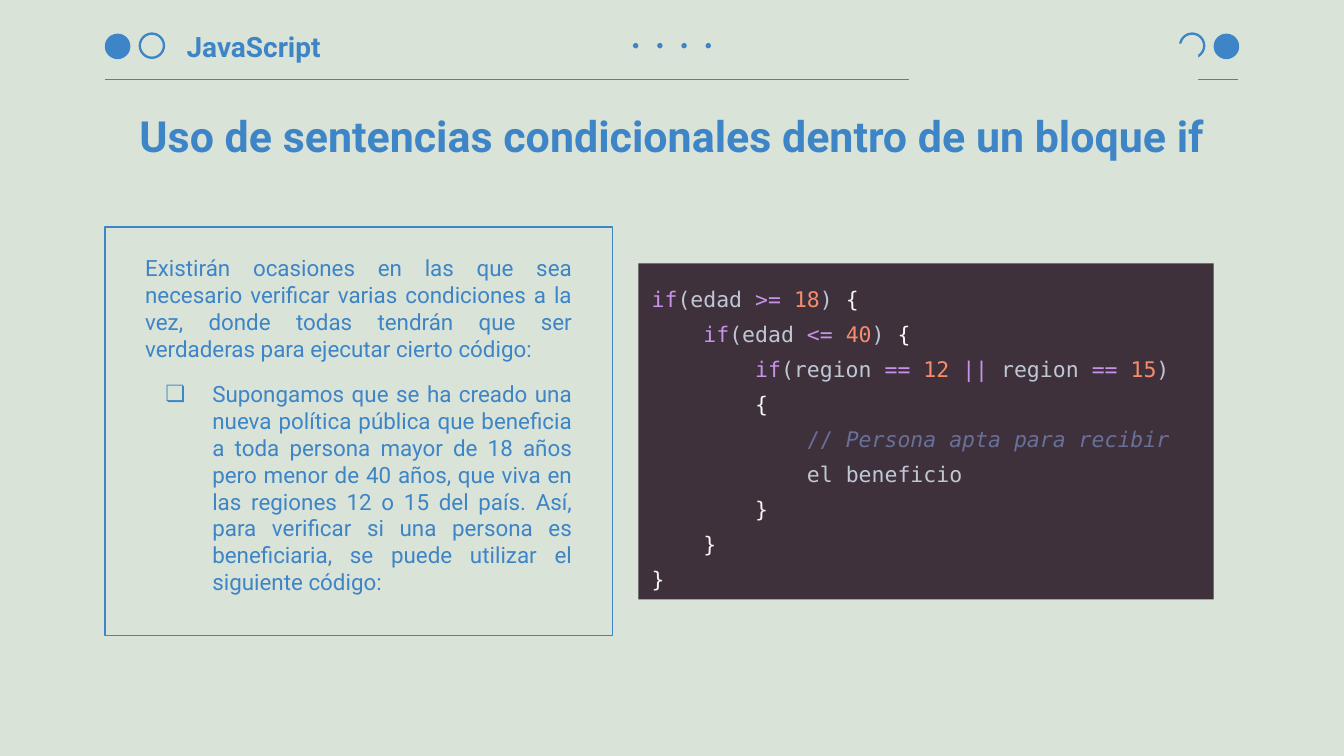
from lxml import etree
from pptx import Presentation
from pptx.dml.color import RGBColor
from pptx.enum import shapes, text
from pptx.oxml.ns import qn
from pptx.util import Inches, Pt

SAGE = RGBColor(0xDA, 0xE3, 0xD7)
BLUE = RGBColor(0x3D, 0x85, 0xC6)
PLUM = RGBColor(0x3E, 0x31, 0x3C)
KEYWORD = RGBColor(0xC7, 0x92, 0xEA)
NAME = RGBColor(0xBF, 0xC7, 0xD5)
NUMBER = RGBColor(0xF7, 0x8C, 0x6C)
BRACE = RGBColor(0xF6, 0xF6, 0xF4)
COMMENT = RGBColor(0x69, 0x70, 0x98)

HEADING = {"name": "Roboto", "bold": True}
BODY = {"name": "Roboto", "size": Pt(12)}
CODE = {"name": "DejaVu Sans Mono", "size": Pt(11.5)}

INTRO = ("Existirán ocasiones en las que sea necesario verificar varias condiciones "
         "a la vez, donde todas tendrán que ser verdaderas para ejecutar cierto código:")
EXAMPLE = ("Supongamos que se ha creado una nueva política pública que beneficia a toda "
           "persona mayor de 18 años pero menor de 40 años, que viva en las regiones 12 o 15 "
           "del país. Así, para verificar si una persona es beneficiaria, se puede utilizar "
           "el siguiente código:")

# Each line: indent level, then its coloured tokens.
CODE_LINES = [
    (0, [("if", KEYWORD), ("(edad ", NAME), (">= ", KEYWORD), ("18", NUMBER),
         (")", NAME), (" {", BRACE)]),
    (1, [("if", KEYWORD), ("(edad ", NAME), ("<= ", KEYWORD), ("40", NUMBER),
         (")", NAME), (" {", BRACE)]),
    (2, [("if", KEYWORD), ("(region ", NAME), ("== ", KEYWORD), ("12 ", NUMBER),
         ("|| ", KEYWORD), ("region ", NAME), ("== ", KEYWORD), ("15", NUMBER), (")", NAME)]),
    (2, [("{", BRACE)]),
    (3, [("//", COMMENT), (" Persona apta para recibir", COMMENT)]),
    (3, [("el beneficio", NAME)]),
    (2, [("}", BRACE)]),
    (1, [("}", BRACE)]),
    (0, [("}", BRACE)]),
]


def apply_format(target, values):
    for key, value in values.items():
        setattr(target, key, value)


def add_run(paragraph, content, color, font):
    run = paragraph.add_run()
    run.text = content
    apply_format(run.font, font)
    run.font.color.rgb = color


def prepare_frame(shape, horizontal=0.1, vertical=0.1, anchor=text.MSO_ANCHOR.TOP):
    frame = shape.text_frame
    apply_format(frame, {
        "word_wrap": True, "auto_size": text.MSO_AUTO_SIZE.NONE, "vertical_anchor": anchor,
        "margin_left": Inches(horizontal), "margin_right": Inches(horizontal),
        "margin_top": Inches(vertical), "margin_bottom": Inches(vertical)})
    return frame


def place(shape, left, top, width, height):
    apply_format(shape, {"left": Inches(left), "top": Inches(top),
                         "width": Inches(width), "height": Inches(height)})


def add_shape(slide, kind, box, fill=None, line=None, line_width=0.75):
    shape = slide.shapes.add_shape(kind, *map(Inches, box))
    shape.shadow.inherit = False
    if fill is None:
        shape.fill.background()
    else:
        shape.fill.solid()
        shape.fill.fore_color.rgb = fill
    if line is None:
        shape.line.fill.background()
    else:
        shape.line.color.rgb = line
        shape.line.width = Pt(line_width)
    return shape


def add_rule(slide):
    rule = slide.shapes.add_connector(shapes.MSO_CONNECTOR.STRAIGHT, Inches(0.78), Inches(0.59),
                                      Inches(9.21), Inches(0.59))
    rule.line.color.rgb = BLUE
    rule.line.width = Pt(0.75)
    etree.SubElement(rule._element.spPr, qn("a:effectLst"))


def add_header(slide):
    oval = shapes.MSO_SHAPE.OVAL
    add_rule(slide)
    for left in (0.78, 9.03):
        add_shape(slide, oval, (left, 0.25, 0.19, 0.19), fill=BLUE)
    for left in (1.04, 8.78):
        add_shape(slide, oval, (left, 0.25, 0.18, 0.18), line=BLUE, line_width=1.25)
    for index in range(4):
        add_shape(slide, oval, (4.71 + 0.18 * index, 0.32, 0.04, 0.04), fill=BLUE)
    for left, top in ((6.6, 0.16), (6.77, 0.33)):
        panel = add_shape(slide, shapes.MSO_SHAPE.ROUNDED_RECTANGLE, (left, top, 2.14, 0.41),
                          fill=SAGE, line=SAGE)
        panel.adjustments[0] = 0.17
    label = slide.shapes.add_textbox(*map(Inches, (1.29, 0.16, 1.35, 0.37)))
    frame = prepare_frame(label, anchor=text.MSO_ANCHOR.MIDDLE)
    add_run(frame.paragraphs[0], "JavaScript", BLUE, {**HEADING, "size": Pt(15)})


def fill_title(title):
    place(title, 0.79, 0.65, 8.43, 0.71)
    paragraph = prepare_frame(title, anchor=text.MSO_ANCHOR.MIDDLE).paragraphs[0]
    paragraph.alignment = text.PP_ALIGN.CENTER
    add_run(paragraph, "Uso de sentencias condicionales dentro de un bloque if", BLUE,
            {**HEADING, "size": Pt(23)})


def set_bullet(paragraph, character=None, margin=0, indent=0):
    properties = paragraph._p.get_or_add_pPr()
    properties.set("marL", str(Inches(margin)))
    properties.set("indent", str(Inches(indent)))
    if character is None:
        etree.SubElement(properties, qn("a:buNone"))
        return
    color = etree.SubElement(properties, qn("a:buClr"))
    etree.SubElement(color, qn("a:srgbClr"), val=str(BLUE))
    etree.SubElement(properties, qn("a:buFont"), typeface="Roboto")
    etree.SubElement(properties, qn("a:buChar"), char=character)


def fill_body(body):
    place(body, 0.78, 1.69, 3.78, 3.04)
    body.line.color.rgb = BLUE
    body.line.width = Pt(0.75)
    frame = prepare_frame(body, 0.3, 0.2)
    intro, example = frame.paragraphs[0], frame.add_paragraph()
    for paragraph, content in ((intro, INTRO), (example, EXAMPLE)):
        apply_format(paragraph, {"alignment": text.PP_ALIGN.JUSTIFY, "space_before": Pt(10)})
        add_run(paragraph, content, BLUE, BODY)
    set_bullet(intro)
    set_bullet(example, "❏", 0.5, -0.35)


def add_code(slide):
    block = add_shape(slide, shapes.MSO_SHAPE.RECTANGLE, (4.75, 1.96, 4.28, 2.5), fill=PLUM)
    frame = prepare_frame(block)
    for index, (level, tokens) in enumerate(CODE_LINES):
        paragraph = frame.add_paragraph() if index else frame.paragraphs[0]
        apply_format(paragraph, {"alignment": text.PP_ALIGN.LEFT, "line_spacing": 1.36})
        if level:
            add_run(paragraph, "    " * level, BRACE, CODE)
        for content, color in tokens:
            italic = color == COMMENT and content != "//"
            add_run(paragraph, content, color, {**CODE, "italic": italic})


def main():
    presentation = Presentation()
    presentation.slide_width = Inches(10)
    presentation.slide_height = Inches(10) * 9 // 16
    slide = presentation.slides.add_slide(presentation.slide_layouts[1])
    slide.background.fill.solid()
    slide.background.fill.fore_color.rgb = SAGE
    add_header(slide)
    fill_title(slide.shapes.title)
    fill_body(slide.placeholders[1])
    add_code(slide)
    presentation.save("out.pptx")


if __name__ == "__main__":
    main()
